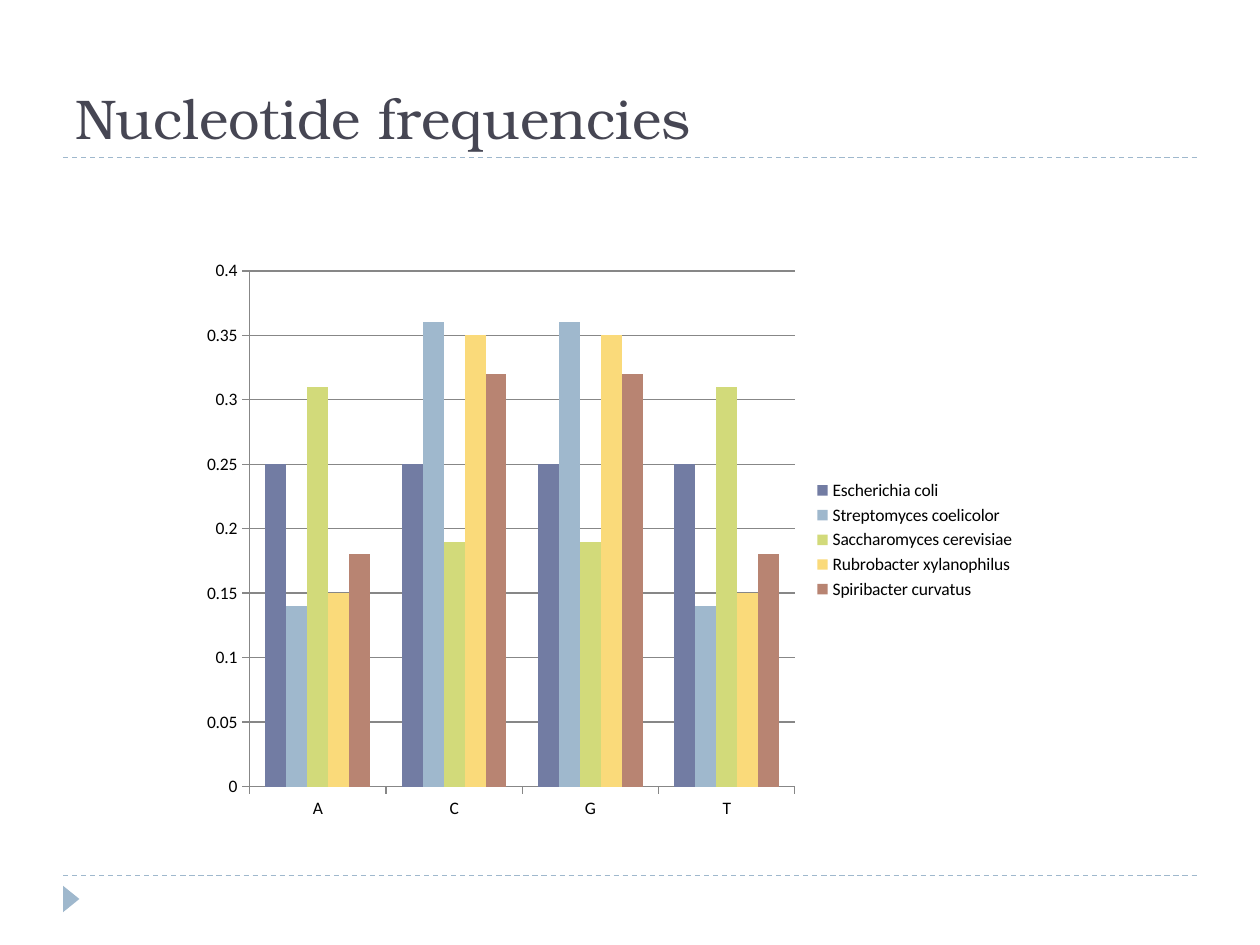
from dataclasses import dataclass

from lxml import etree
from pptx import Presentation
from pptx.chart.data import CategoryChartData
from pptx.dml.color import RGBColor
from pptx.enum.chart import XL_CHART_TYPE as ChartType
from pptx.enum.chart import XL_LEGEND_POSITION as LegendPosition
from pptx.enum.chart import XL_TICK_MARK as TickMark
from pptx.enum.dml import MSO_LINE as LineStyle
from pptx.enum.shapes import MSO_CONNECTOR as Connector
from pptx.enum.shapes import MSO_SHAPE as Shape
from pptx.enum.text import MSO_ANCHOR as Anchor
from pptx.enum.text import PP_ALIGN as Align
from pptx.oxml.ns import qn
from pptx.util import Inches, Pt


@dataclass(frozen=True)
class Theme:
    title_font: str = "TeX Gyre Bonum"
    chart_font: str = "Calibri"
    title_size: int = 32
    chart_size: int = 10
    title_color: str = "464653"
    chart_text: str = "000000"
    accent: str = "9FB8CD"
    axis: str = "878787"


THEME = Theme()

NUCLEOTIDES = ["A", "C", "G", "T"]
# Organism: (bar colour, frequency of each nucleotide)
ORGANISMS = {
    "Escherichia coli": ("727CA3", (0.25, 0.25, 0.25, 0.25)),
    "Streptomyces coelicolor": ("9FB8CD", (0.14, 0.36, 0.36, 0.14)),
    "Saccharomyces cerevisiae": ("D2DA7A", (0.31, 0.19, 0.19, 0.31)),
    "Rubrobacter xylanophilus": ("FADA7A", (0.15, 0.35, 0.35, 0.15)),
    "Spiribacter curvatus": ("B88472", (0.18, 0.32, 0.32, 0.18)),
}


def rgb(color):
    return RGBColor.from_string(color)


def style_font(font, name, size, color):
    font.name = name
    font.size = Pt(size)
    font.color.rgb = rgb(color)


def add_divider(slide, top):
    divider = slide.shapes.add_connector(
        Connector.STRAIGHT, Inches(0.5), Inches(top), Inches(9.5), Inches(top))
    divider.line.color.rgb = rgb(THEME.accent)
    divider.line.width = Pt(0.75)
    divider.line.dash_style = LineStyle.DASH
    etree.SubElement(divider._element.spPr, qn("a:effectLst"))


def add_page_marker(slide):
    marker = slide.shapes.add_shape(
        Shape.ISOSCELES_TRIANGLE,
        Inches(0.46), Inches(7.07), Inches(0.21), Inches(0.13))
    marker.rotation = 90
    marker.shadow.inherit = False
    marker.fill.solid()
    marker.fill.fore_color.rgb = rgb(THEME.accent)
    marker.line.fill.background()


def set_title(slide, text):
    title = slide.shapes.title
    title.left, title.top = Inches(0.5), Inches(0.17)
    title.width, title.height = Inches(9), Inches(1.08)
    frame = title.text_frame
    frame.text = text
    frame.vertical_anchor = Anchor.BOTTOM
    heading = frame.paragraphs[0]
    heading.alignment = Align.LEFT
    style_font(heading.runs[0].font,
               THEME.title_font, THEME.title_size, THEME.title_color)


def style_axis(axis):
    axis.major_tick_mark = TickMark.OUTSIDE
    axis.minor_tick_mark = TickMark.NONE
    axis.format.line.color.rgb = rgb(THEME.axis)
    axis.format.line.width = Pt(0.75)


def add_frequency_chart(slide):
    frequencies = CategoryChartData(number_format="General")
    frequencies.categories = NUCLEOTIDES
    for organism, (_, values) in ORGANISMS.items():
        frequencies.add_series(organism, values)
    chart = slide.shapes.add_chart(
        ChartType.COLUMN_CLUSTERED,
        Inches(1.51), Inches(1.98), Inches(6.65), Inches(4.61),
        frequencies).chart
    chart.has_title = False
    style_font(chart.font, THEME.chart_font, THEME.chart_size, THEME.chart_text)

    # Legend
    chart.has_legend = True
    chart.legend.position = LegendPosition.RIGHT
    chart.legend.include_in_layout = False

    # Axes and gridlines
    for axis in (chart.category_axis, chart.value_axis):
        style_axis(axis)
    scale = chart.value_axis
    scale.minimum_scale, scale.maximum_scale = 0, 0.4
    scale.major_unit = 0.05
    scale.has_major_gridlines = True
    scale.major_gridlines.format.line.color.rgb = rgb(THEME.axis)
    scale.major_gridlines.format.line.width = Pt(0.75)

    # Bars
    bars = chart.plots[0]
    bars.gap_width = 150
    bars.overlap = 0
    bars.vary_by_categories = False
    for series, (color, _) in zip(bars.series, ORGANISMS.values()):
        series.format.fill.solid()
        series.format.fill.fore_color.rgb = rgb(color)


def main():
    presentation = Presentation()
    presentation.slide_width, presentation.slide_height = Inches(10), Inches(7.5)
    slide = presentation.slides.add_slide(presentation.slide_layouts[5])

    # Frame of the slide
    for top in (6.95, 1.25):
        add_divider(slide, top)
    add_page_marker(slide)

    # Content
    set_title(slide, "Nucleotide frequencies")
    add_frequency_chart(slide)
    presentation.save("out.pptx")


if __name__ == "__main__":
    main()
